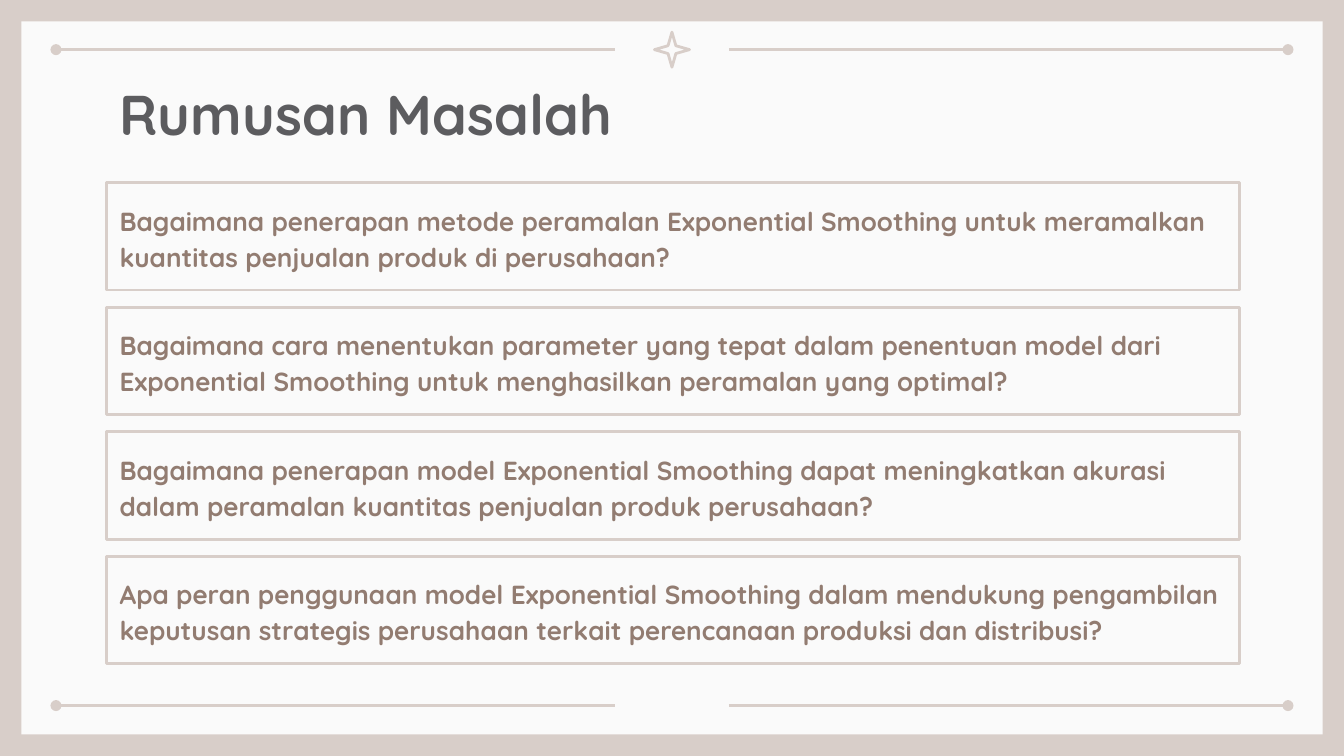
from lxml.etree import SubElement
from pptx import Presentation
from pptx.dml.color import RGBColor
from pptx.enum.shapes import MSO_CONNECTOR, MSO_SHAPE
from pptx.enum.text import MSO_ANCHOR, MSO_AUTO_SIZE, PP_ALIGN
from pptx.oxml.ns import qn
from pptx.util import Pt

BEIGE = RGBColor(0xD8, 0xCE, 0xC9)
PAPER = RGBColor(0xFA, 0xFA, 0xFA)
GRAY = RGBColor(0x5C, 0x5C, 0x5F)
BROWN = RGBColor(0x92, 0x7C, 0x71)

FONT = "Quicksand"
LEFT, WIDTH = 57, 607
QUESTION_TOP, QUESTION_HEIGHT, QUESTION_STEP = 97.8, 57.6, 66.75

QUESTIONS = [
    "Bagaimana penerapan metode peramalan Exponential Smoothing untuk meramalkan "
    "kuantitas penjualan produk di perusahaan?",
    "Bagaimana cara menentukan parameter yang tepat dalam penentuan model dari "
    "Exponential Smoothing untuk menghasilkan peramalan yang optimal?",
    "Bagaimana penerapan model Exponential Smoothing dapat meningkatkan akurasi "
    "dalam peramalan kuantitas penjualan produk perusahaan?",
    "Apa peran penggunaan model Exponential Smoothing dalam mendukung pengambilan "
    "keputusan strategis perusahaan terkait perencanaan produksi dan distribusi?",
]


def add_panel(page):
    panel = page.shapes.add_shape(MSO_SHAPE.RECTANGLE, Pt(11.5), Pt(11.5), Pt(697), Pt(382))
    panel.shadow.inherit = False
    panel.fill.solid()
    panel.fill.fore_color.rgb = PAPER
    panel.line.fill.background()


def add_outline(page, preset, left, top, width, height):
    shape = page.shapes.add_shape(preset, Pt(left), Pt(top), Pt(width), Pt(height))
    shape.shadow.inherit = False
    shape.fill.background()
    shape.line.color.rgb = BEIGE
    shape.line.width = Pt(1.5)
    return shape


def add_rule(page, start, end, height, dot):
    rule = page.shapes.add_connector(
        MSO_CONNECTOR.STRAIGHT, Pt(start), Pt(height), Pt(end), Pt(height))
    rule.line.color.rgb = BEIGE
    rule.line.width = Pt(1.5)
    properties = rule.element.spPr
    SubElement(properties.find(qn("a:ln")), qn(dot), type="oval")
    SubElement(properties, qn("a:effectLst"))


def format_text(shape, text, size, color, anchor, spacing):
    frame = shape.text_frame
    frame.text = text
    frame.word_wrap = True
    frame.auto_size = MSO_AUTO_SIZE.NONE
    frame.vertical_anchor = anchor
    frame.margin_left = frame.margin_right = Pt(7.2)
    frame.margin_top = frame.margin_bottom = Pt(7.2)
    para = frame.paragraphs[0]
    para.alignment = PP_ALIGN.LEFT
    para.line_spacing = spacing
    para.space_before = Pt(0)
    font = para.runs[0].font
    font.name = FONT
    font.size = Pt(size)
    font.bold = True
    font.color.rgb = color


def add_title(page, text):
    title = page.shapes.title
    title.left, title.top, title.width, title.height = Pt(LEFT), Pt(35.3), Pt(WIDTH), Pt(45)
    format_text(title, text, 30, GRAY, MSO_ANCHOR.TOP, 1.0)
    title.element.getparent().append(title.element)


def add_question(page, text, top):
    box = add_outline(page, MSO_SHAPE.RECTANGLE, LEFT, top, WIDTH, QUESTION_HEIGHT)
    format_text(box, text, 14, BROWN, MSO_ANCHOR.MIDDLE, 1.15)


def main():
    deck = Presentation()
    deck.slide_width, deck.slide_height = Pt(720), Pt(405)
    page = deck.slides.add_slide(deck.slide_layouts[5])
    page.background.fill.solid()
    page.background.fill.fore_color.rgb = BEIGE

    add_panel(page)
    for height in (26.6, 378):
        add_rule(page, 30, 329.5, height, "a:headEnd")
        add_rule(page, 390.5, 690, height, "a:tailEnd")
    star = add_outline(page, MSO_SHAPE.STAR_4_POINT, 350.6, 17.2, 18.8, 18.8)
    star.adjustments[0] = 0.157

    add_title(page, "Rumusan Masalah")
    for index, question in enumerate(QUESTIONS):
        add_question(page, question, QUESTION_TOP + index * QUESTION_STEP)

    deck.save("out.pptx")


if __name__ == "__main__":
    main()
